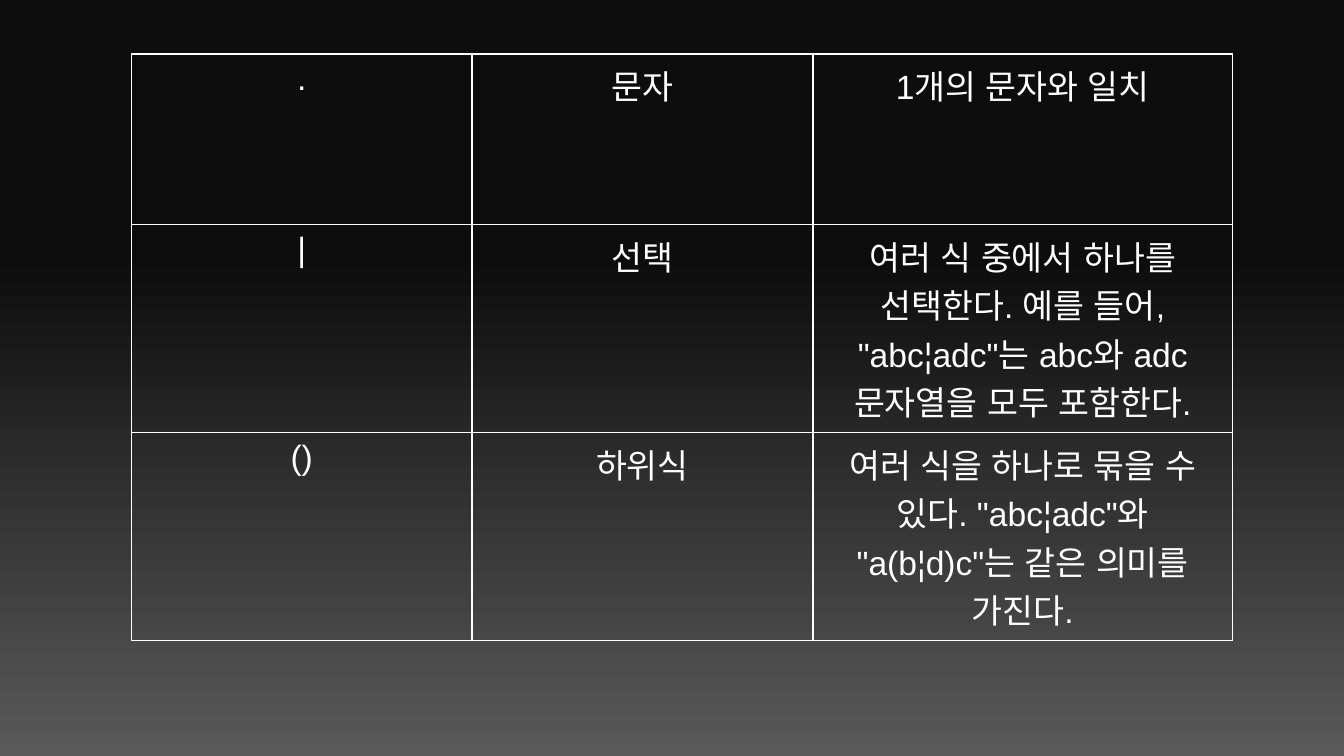
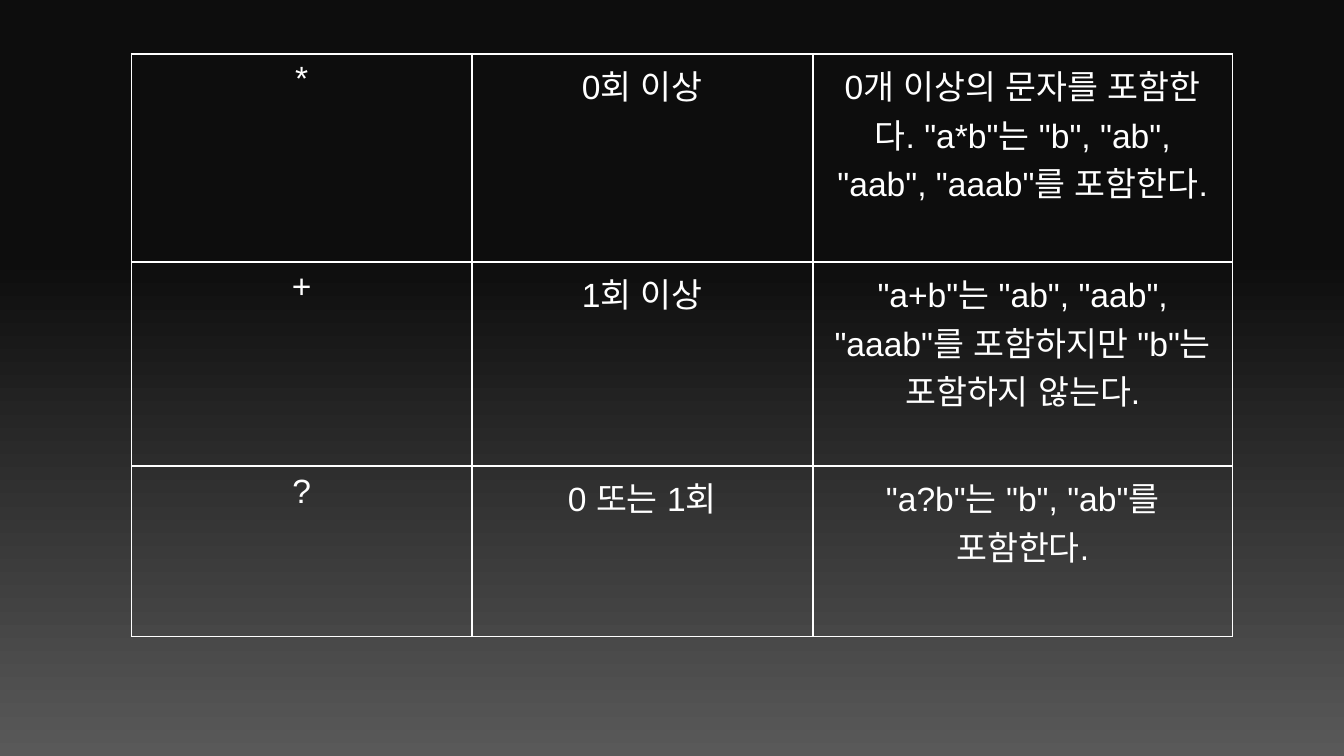
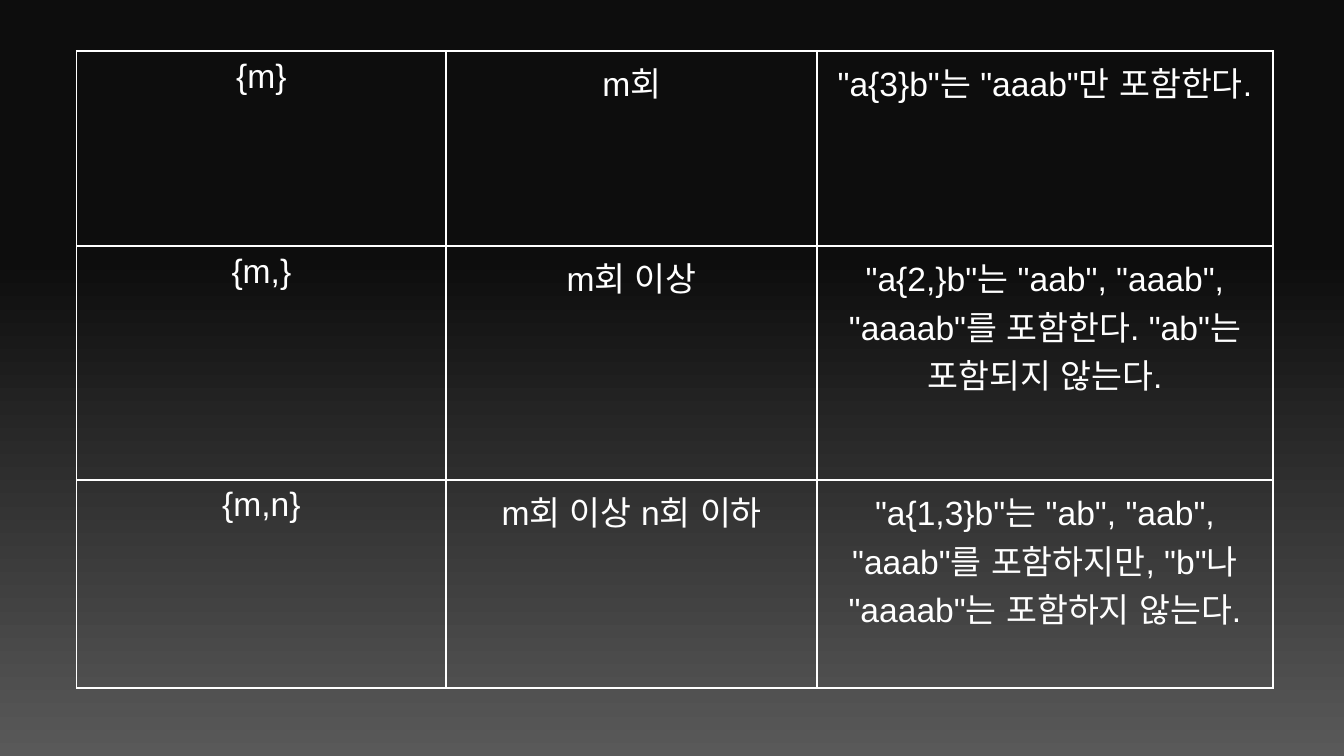
import pptx
import pptx.dml.color
import pptx.enum.lang
import pptx.enum.text
import pptx.oxml.ns
import pptx.util
from lxml import etree
from pptx.util import Inches

COLORS = {"top": "0D0D0D", "bottom": "595959", "white": "FFFFFF"}
TEXT_FORMAT = {
    "name": "Arial",
    "size": pptx.util.Pt(18),
    "bold": False,
    "language_id": pptx.enum.lang.MSO_LANGUAGE_ID.KOREAN,
}
BORDER_WIDTH = pptx.util.Pt(1)

# Both operator tables share one grid; the counted repeats need a larger one.
OPERATOR_GRID = {"left": 0.98, "top": 0.4, "columns": [2.53, 2.54, 3.12], "rows": [1.27, 1.52, 1.27]}
COUNT_GRID = {"left": 0.57, "top": 0.38, "columns": [2.75, 2.76, 3.39], "rows": [1.45, 1.74, 1.49]}

PAGES = [
    (OPERATOR_GRID, [
        (".", "문자", "1개의 문자와 일치"),
        ("|", "선택", '여러 식 중에서 하나를 선택한다. 예를 들어, "abc¦adc"는 abc와 adc 문자열을 모두 포함한다.'),
        ("()", "하위식", '여러 식을 하나로 묶을 수 있다. "abc¦adc"와 "a(b¦d)c"는 같은 의미를 가진다.'),
    ]),
    (OPERATOR_GRID, [
        ("*", "0회 이상", '0개 이상의 문자를 포함한다. "a*b"는 "b", "ab", "aab", "aaab"를 포함한다.'),
        ("+", "1회 이상", '"a+b"는 "ab", "aab", "aaab"를 포함하지만 "b"는 포함하지 않는다.'),
        ("?", "0 또는 1회", '"a?b"는 "b", "ab"를 포함한다.'),
    ]),
    (COUNT_GRID, [
        ("{m}", "m회", '"a{3}b"는 "aaab"만 포함한다.'),
        ("{m,}", "m회 이상", '"a{2,}b"는 "aab", "aaab", "aaaab"를 포함한다. "ab"는 포함되지 않는다.'),
        ("{m,n}", "m회 이상 n회 이하", '"a{1,3}b"는 "ab", "aab", "aaab"를 포함하지만, "b"나 "aaaab"는 포함하지 않는다.'),
    ]),
]


def rgb(name):
    """Return the named palette colour."""
    return pptx.dml.color.RGBColor.from_string(COLORS[name])


def write_cell(cell, text):
    """Give a cell its borders, clear fill and centred text."""
    properties = cell._tc.get_or_add_tcPr()
    for side in ("a:lnL", "a:lnR", "a:lnT", "a:lnB"):
        line = etree.SubElement(properties, pptx.oxml.ns.qn(side), w=str(BORDER_WIDTH))
        fill = etree.SubElement(line, pptx.oxml.ns.qn("a:solidFill"))
        etree.SubElement(fill, pptx.oxml.ns.qn("a:srgbClr"), val=COLORS["white"])
    cell.fill.background()
    para = cell.text_frame.paragraphs[0]
    para.alignment = pptx.enum.text.PP_ALIGN.CENTER
    # Keep a closing full stop inside the cell.
    para._p.get_or_add_pPr().set("hangingPunct", "0")
    span = para.add_run()
    span.text = text
    for attribute, value in TEXT_FORMAT.items():
        setattr(span.font, attribute, value)
    span.font.color.rgb = rgb("white")


deck = pptx.Presentation()
deck.slide_width = Inches(10)
deck.slide_height = deck.slide_width * 9 // 16

# The master carries the background for every slide.
background = deck.slide_master.background.fill
background.gradient()
background.gradient_angle = 270
for stop, (position, name) in zip(background.gradient_stops, [(0.34, "top"), (1, "bottom")]):
    stop.position = position
    stop.color.rgb = rgb(name)

blank_layout = deck.slide_layouts.get_by_name("Blank")
for grid, entries in PAGES:
    page = deck.slides.add_slide(blank_layout)
    table = page.shapes.add_table(
        len(grid["rows"]), len(grid["columns"]),
        Inches(grid["left"]), Inches(grid["top"]),
        Inches(sum(grid["columns"])), Inches(sum(grid["rows"])),
    ).table
    table.first_row = False
    table.horz_banding = False
    for column, width in zip(table.columns, grid["columns"]):
        column.width = Inches(width)
    for row, height, texts in zip(table.rows, grid["rows"], entries):
        row.height = Inches(height)
        for cell, text in zip(row.cells, texts):
            write_cell(cell, text)

deck.save("out.pptx")
